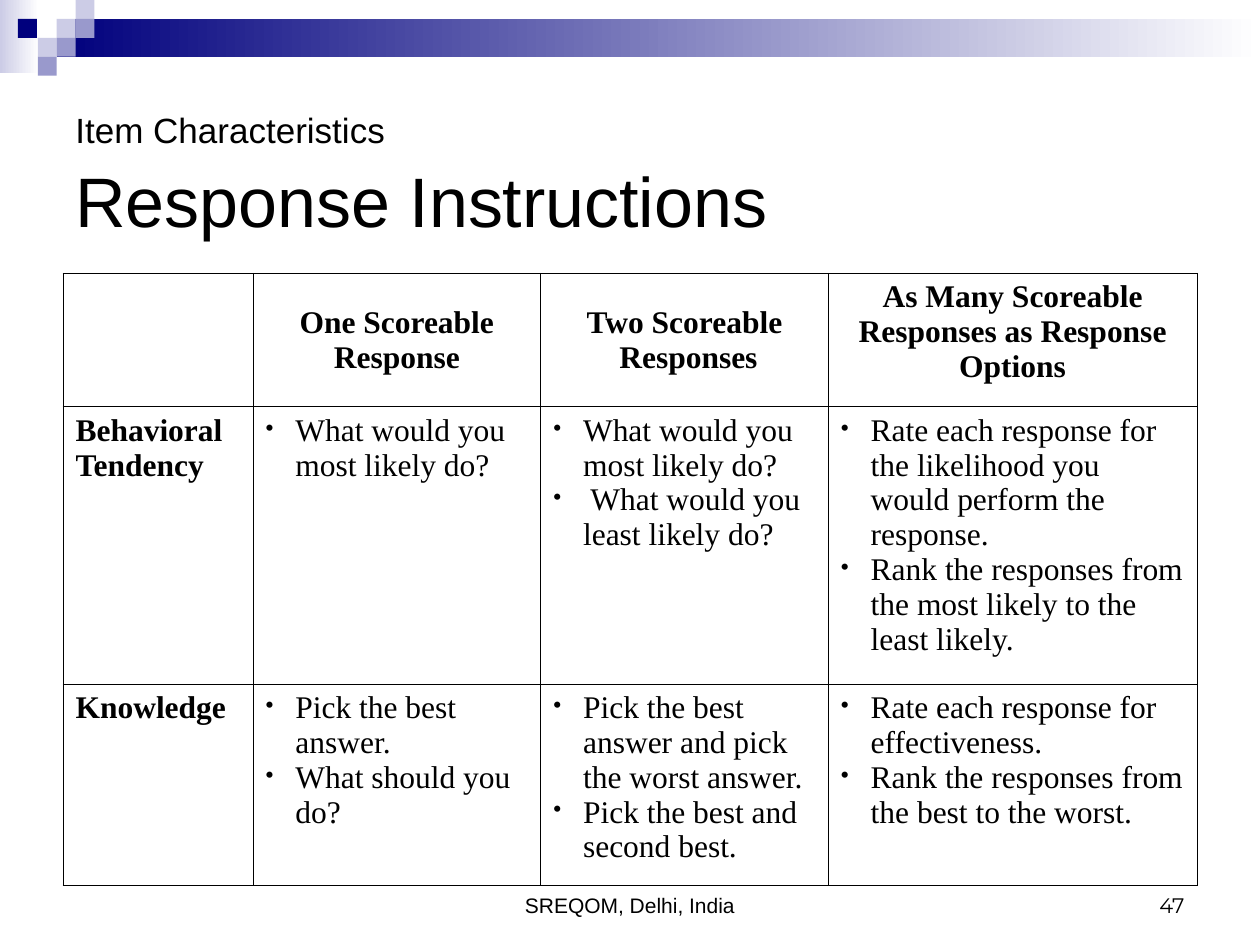
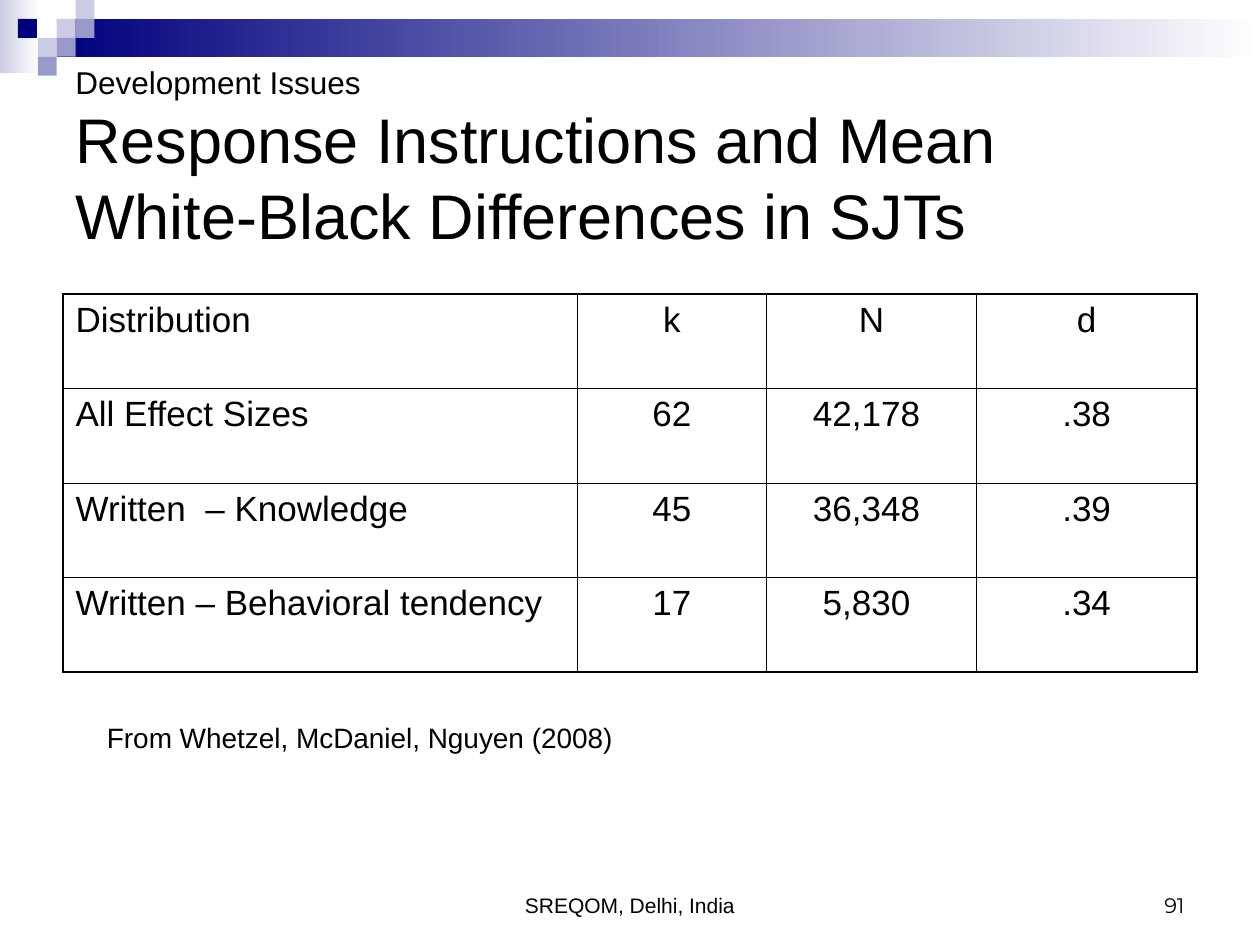
"""Build two slides on response instructions with a shared band, title and footer."""
from dataclasses import dataclass
from typing import Callable, NamedTuple

from lxml import etree
from pptx import Presentation
from pptx import util as u
from pptx.dml.color import RGBColor
from pptx.enum import shapes, text
from pptx.oxml import ns

NAVY = RGBColor(0x00, 0x00, 0x7D)
LILAC = RGBColor(0x99, 0x99, 0xCC)
PALE = RGBColor(0xCC, 0xCC, 0xE6)
WHITE = RGBColor(0xFF, 0xFF, 0xFF)
BLACK = RGBColor(0x00, 0x00, 0x00)
SANS, SERIF, NUMERALS = "Arial", "Times New Roman", "Montserrat"
LEFT, CENTER, RIGHT = text.PP_ALIGN.LEFT, text.PP_ALIGN.CENTER, text.PP_ALIGN.RIGHT
TOP, MIDDLE, BOTTOM = text.MSO_ANCHOR.TOP, text.MSO_ANCHOR.MIDDLE, text.MSO_ANCHOR.BOTTOM
SQUARE = 10.8
THIN, THICK = 0.45, 1.08
BULLET_INDENT = 17
FOOTER = "SREQOM, Delhi, India"


class Box(NamedTuple):
    """A rectangle in points."""
    left: float
    top: float
    width: float
    height: float

    def lengths(self) -> list[u.Length]:
        """Return the four values as lengths."""
        return [u.Pt(v) for v in self]


class Square(NamedTuple):
    """A decorative square placed on the corner grid."""
    col: float
    row: int
    color: RGBColor


class Piece(NamedTuple):
    """A stretch of title text in one size."""
    text: str
    size: float


class CellStyle(NamedTuple):
    """How the text of a table cell looks."""
    align: text.PP_ALIGN = LEFT
    bold: bool = False
    bullet: bool = False
    anchor: text.MSO_ANCHOR = TOP


@dataclass
class Grid:
    """A table with its contents and look."""
    left: float
    top: float
    widths: list[float]
    heights: list[float]
    rows: list[list[str]]
    font: str
    size: float
    outline: float
    space_before: float
    style: Callable[[int, int], CellStyle]


SQUARES = [
    Square(3, 1, PALE), Square(4, 0, PALE), Square(4, 1, LILAC), Square(2, 2, PALE),
    Square(0.95, 1, NAVY), Square(3, 2, LILAC), Square(2, 3, LILAC),
]
TITLE_BOX = Box(36, 36, 648, 108)
FOOTER_BOX = Box(246, 492, 228, 36)
NUMBER_BOX = Box(516, 492, 168, 36)
SOURCE_BOX = Box(54, 408, 342, 55)


def format_runs(p, size: float, font: str = SANS, bold: bool = False) -> None:
    """Give every run of a paragraph the same font."""
    for r in p.runs:
        r.font.name, r.font.size, r.font.bold = font, u.Pt(size), bold
        r.font.color.rgb = BLACK


def add_rect(slide, box: Box, color: RGBColor, fade: bool = False) -> None:
    """Draw a borderless rectangle, solid or fading to white on the right."""
    sp = slide.shapes.add_shape(shapes.MSO_SHAPE.RECTANGLE, *box.lengths())
    sp.shadow.inherit = False
    sp.line.fill.background()
    if fade:
        sp.fill.gradient()
        sp.fill.gradient_angle = 0
        for stop, shade in zip(sp.fill.gradient_stops, (color, WHITE)):
            stop.color.rgb = shade
    else:
        sp.fill.solid()
        sp.fill.fore_color.rgb = color


def add_text_frame(slide, box: Box, anchor: text.MSO_ANCHOR):
    """Add a wrapping text box and return its frame."""
    tf = slide.shapes.add_textbox(*box.lengths()).text_frame
    tf.word_wrap = True
    tf.vertical_anchor = anchor
    return tf


def add_label(slide, box: Box, words: str, size: float, font: str = SANS,
              align: text.PP_ALIGN = LEFT, anchor: text.MSO_ANCHOR = BOTTOM,
              space_before: float = 0) -> None:
    """Write a single paragraph of text."""
    p = add_text_frame(slide, box, anchor).paragraphs[0]
    p.text, p.alignment, p.space_before = words, align, u.Pt(space_before)
    format_runs(p, size, font)


def add_title(slide, lines: list[list[Piece]]) -> None:
    """Write the title, one paragraph for each line of pieces."""
    tf = add_text_frame(slide, TITLE_BOX, MIDDLE)
    for i, line in enumerate(lines):
        p = tf.add_paragraph() if i else tf.paragraphs[0]
        for piece in line:
            r = p.add_run()
            r.text = piece.text
            r.font.name, r.font.size = SANS, u.Pt(piece.size)
            r.font.color.rgb = BLACK


def add_bullet(p) -> None:
    """Give a paragraph a small round bullet with a hanging indent."""
    pPr = p._p.get_or_add_pPr()
    pPr.set("marL", str(u.Pt(BULLET_INDENT)))
    pPr.set("indent", str(-u.Pt(BULLET_INDENT)))
    color = etree.SubElement(pPr, ns.qn("a:buClr"))
    etree.SubElement(color, ns.qn("a:srgbClr"), val=str(BLACK))
    etree.SubElement(pPr, ns.qn("a:buSzPct"), val="75000")
    etree.SubElement(pPr, ns.qn("a:buChar"), char="•")


def set_borders(cell, widths: dict[str, float]) -> None:
    """Draw the borders of a cell, keyed by side in schema order."""
    tcPr = cell._tc.get_or_add_tcPr()
    for i, (side, width) in enumerate(widths.items()):
        ln = etree.Element(ns.qn(f"a:ln{side}"), w=str(u.Pt(width)))
        fill = etree.SubElement(ln, ns.qn("a:solidFill"))
        etree.SubElement(fill, ns.qn("a:srgbClr"), val=str(BLACK))
        tcPr.insert(i, ln)


def fill_cell(cell, words: str, style: CellStyle, grid: Grid) -> None:
    """Write and format the paragraphs of a cell."""
    cell.fill.background()
    cell.vertical_anchor = style.anchor
    cell.text_frame.text = words
    for p in cell.text_frame.paragraphs:
        p.alignment = style.align
        p.space_before = u.Pt(grid.space_before)
        format_runs(p, grid.size, grid.font, style.bold)
        if style.bullet:
            add_bullet(p)


def add_grid(slide, grid: Grid) -> None:
    """Draw a table with plain cells and ruled borders."""
    n_rows, n_cols = len(grid.heights), len(grid.widths)
    box = Box(grid.left, grid.top, sum(grid.widths), sum(grid.heights))
    table = slide.shapes.add_table(n_rows, n_cols, *box.lengths()).table
    table.first_row = table.horz_banding = False
    for column, width in zip(table.columns, grid.widths):
        column.width = u.Pt(width)
    for row, height in zip(table.rows, grid.heights):
        row.height = u.Pt(height)
    for i, row in enumerate(grid.rows):
        for j, words in enumerate(row):
            cell = table.cell(i, j)
            fill_cell(cell, words, grid.style(i, j), grid)
            outer = {"L": j == 0, "R": j == n_cols - 1, "T": i == 0, "B": i == n_rows - 1}
            set_borders(cell, {s: grid.outline if edge else THIN for s, edge in outer.items()})


def add_base_slide(prs, title: list[list[Piece]], number: int):
    """Add a slide with the band, squares, title and footer."""
    slide = prs.slides.add_slide(prs.slide_layouts[6])
    add_rect(slide, Box(0, 0, 22.3, 41.8), PALE, fade=True)
    add_rect(slide, Box(3 * SQUARE, SQUARE, 720 - 3 * SQUARE, 2 * SQUARE), NAVY, fade=True)
    for sq in SQUARES:
        add_rect(slide, Box(sq.col * SQUARE, sq.row * SQUARE, SQUARE, SQUARE), sq.color)
    add_title(slide, title)
    add_label(slide, FOOTER_BOX, FOOTER, 12, align=CENTER)
    add_label(slide, NUMBER_BOX, str(number), 12, NUMERALS, RIGHT)
    return slide


def instruction_style(row: int, col: int) -> CellStyle:
    """Style the table of response instructions."""
    if row == 0:
        return CellStyle(CENTER, bold=True, anchor=TOP if col == 3 else MIDDLE)
    return CellStyle(bold=col == 0, bullet=col > 0)


def difference_style(row: int, col: int) -> CellStyle:
    """Style the table of mean differences."""
    return CellStyle(CENTER if col else LEFT)


INSTRUCTIONS = Grid(
    36, 156.2, [108.6, 164.4, 164.4, 210.6], [76.3, 136.8, 115.2],
    [
        ["", "One Scoreable Response", "Two Scoreable\n Responses",
         "As Many Scoreable Responses as Response Options"],
        ["Behavioral Tendency", "What would you most likely do?",
         "What would you most likely do?\n What would you least likely do?",
         "Rate each response for the likelihood you would perform the response.\n"
         "Rank the responses from the most likely to the least likely."],
        ["Knowledge", "Pick the best answer.\nWhat should you do?",
         "Pick the best answer and pick the worst answer.\nPick the best and second best.",
         "Rate each response for effectiveness.\n"
         "Rank the responses from the best to the worst."],
    ],
    SERIF, 18, THIN, 0, instruction_style,
)
DIFFERENCES = Grid(
    36, 168, [294, 108, 120, 126], [54] * 4,
    [
        ["Distribution", "k", "N", "d"],
        ["All Effect Sizes", "62", "42,178 ", ".38"],
        ["Written  – Knowledge", "45", "36,348 ", ".39"],
        ["Written – Behavioral tendency", "17", "5,830 ", ".34"],
    ],
    SANS, 20, THICK, 5, difference_style,
)


def main() -> None:
    """Build and save the presentation."""
    prs = Presentation()
    prs.slide_width, prs.slide_height = u.Pt(720), u.Pt(540)

    slide = add_base_slide(prs, [
        [Piece("Item Characteristics", 20), Piece(" ", 40)],
        [Piece("Response Instructions", 40)],
    ], 47)
    add_grid(slide, INSTRUCTIONS)

    slide = add_base_slide(prs, [
        [Piece("Development Issues", 18)],
        [Piece("Response Instructions and Mean White-Black Differences in SJTs", 36)],
    ], 91)
    add_grid(slide, DIFFERENCES)
    add_label(slide, SOURCE_BOX, "From Whetzel, McDaniel, Nguyen (2008)", 16,
              anchor=TOP, space_before=4)

    prs.save("out.pptx")


if __name__ == "__main__":
    main()
